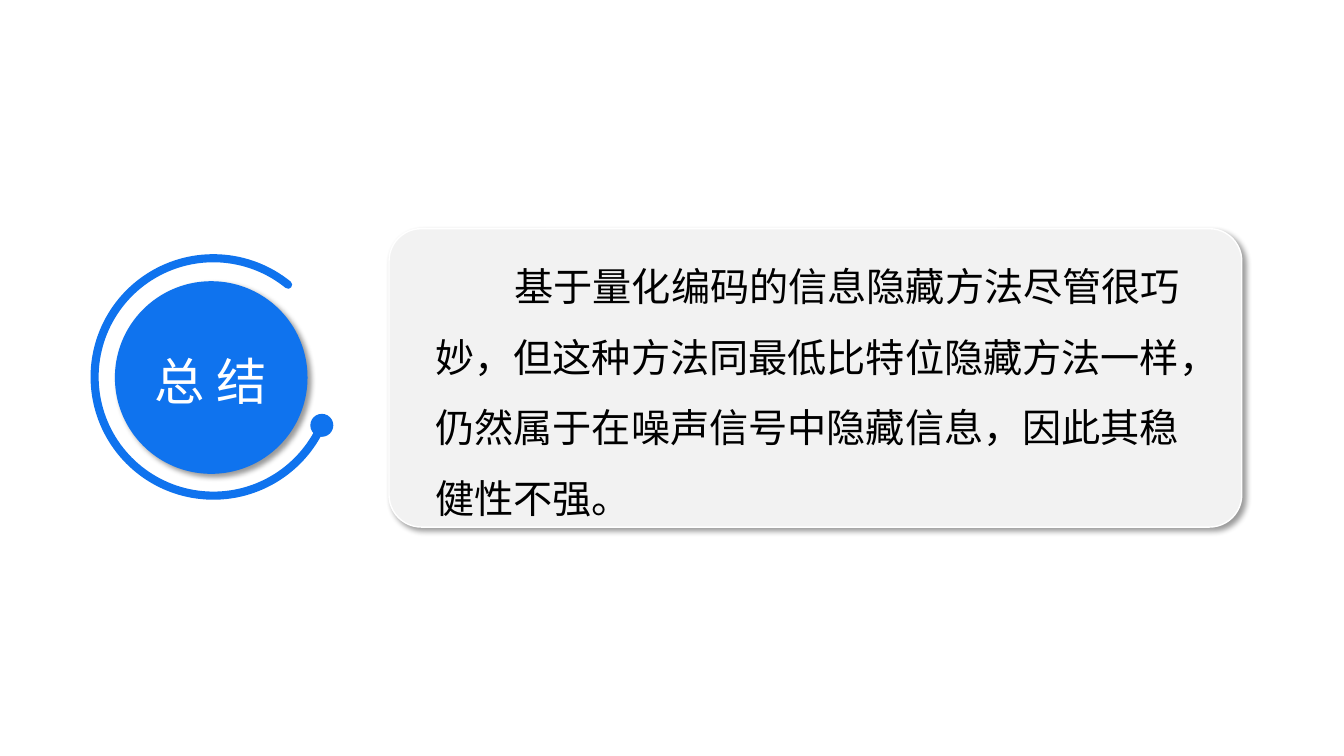
from dataclasses import dataclass
from math import cos, radians, sin, tan

from lxml import etree
from pptx import Presentation
from pptx.dml.color import RGBColor
from pptx.enum.shapes import MSO_SHAPE
from pptx.enum.text import MSO_ANCHOR, MSO_AUTO_SIZE, PP_ALIGN
from pptx.oxml.ns import qn
from pptx.util import Pt

OVAL, ROUNDED = MSO_SHAPE.OVAL, MSO_SHAPE.ROUNDED_RECTANGLE
TOP, MIDDLE = MSO_ANCHOR.TOP, MSO_ANCHOR.MIDDLE
NO_FIT, GROW = MSO_AUTO_SIZE.NONE, MSO_AUTO_SIZE.SHAPE_TO_FIT_TEXT
LEFT, CENTER = PP_ALIGN.LEFT, PP_ALIGN.CENTER


@dataclass(frozen=True)
class Theme:
    font: str = "Noto Sans CJK SC"
    accent: str = "0F73EE"
    panel: str = "F2F2F2"
    white: str = "FFFFFF"
    black: str = "000000"
    title_size: int = 36
    body_size: int = 28


def polar(center, radius, angle):
    """Return the point at a clockwise angle in degrees from the right."""
    turn = radians(angle)
    return center[0] + radius * cos(turn), center[1] + radius * sin(turn)


def arc_curves(center, radius, start, end, pieces=1):
    """Return two control points and an end point for each piece of an arc."""
    step = (end - start) / pieces
    reach = radius * 4 / 3 * tan(radians(step) / 4)
    points = []
    for piece in range(pieces):
        first = start + piece * step
        last = first + step
        stop = polar(center, radius, last)
        points += [polar(polar(center, radius, first), reach, first + 90),
                   polar(stop, -reach, last + 90), stop]
    return points


class SlideBuilder:
    def __init__(self, slide, theme):
        self.slide = slide
        self.theme = theme

    def paint(self, shape, fill, line=None, shadow=False):
        shape.shadow.inherit = False
        shape.fill.solid()
        shape.fill.fore_color.rgb = RGBColor.from_string(fill)
        if line:
            shape.line.color.rgb = RGBColor.from_string(line)
            shape.line.width = Pt(1)
        else:
            shape.line.fill.background()
        if shadow:
            self.add_shadow(shape)

    def add_shadow(self, shape):
        effects = shape.element.spPr.find(qn("a:effectLst"))
        outer = etree.SubElement(
            effects, qn("a:outerShdw"), blurRad=str(Pt(4)), dist=str(Pt(3)),
            dir=str(45 * 60000), algn="tl", rotWithShape="0")
        color = etree.SubElement(outer, qn("a:srgbClr"), val=self.theme.black)
        etree.SubElement(color, qn("a:alpha"), val="40000")

    def preset(self, kind, bounds, fill, line=None, shadow=False, corner=None):
        shape = self.slide.shapes.add_shape(kind, *map(Pt, bounds))
        if corner is not None:
            shape.adjustments[0] = corner
        self.paint(shape, fill, line, shadow)

    def disc(self, center, radius, fill, shadow=False):
        left, top = (value - radius for value in center)
        self.preset(OVAL, (left, top, 2 * radius, 2 * radius), fill, shadow=shadow)

    def curved_outline(self, start, curves, fill):
        """Draw a closed outline, taking the points of curves in threes."""
        (left, top), *points = [(Pt(x), Pt(y)) for x, y in (start, *curves)]
        builder = self.slide.shapes.build_freeform(left, top)
        builder.add_line_segments(points, close=True)
        shape = builder.convert_to_shape()
        lines = list(shape.element.iter(qn("a:lnTo")))
        for first in range(0, len(lines), 3):
            curve = etree.Element(qn("a:cubicBezTo"))
            lines[first].addprevious(curve)
            for line in lines[first:first + 3]:
                curve.append(line[0])
                line.getparent().remove(line)
        self.paint(shape, fill)

    def round_ended_arc(self, center, radius, thickness, start, end, fill):
        half = thickness / 2
        curves = arc_curves(center, radius + half, start, end, 4)
        curves += arc_curves(polar(center, radius, end), half, end, end + 180)
        curves += arc_curves(center, radius - half, end, start, 4)
        curves += arc_curves(polar(center, radius, start), half,
                             start + 180, start + 360)
        self.curved_outline(polar(center, radius + half, start), curves, fill)

    def placeholder(self, box, bounds, text, size, color, frame_format,
                    paragraph_format, indent=0):
        """Fill a placeholder, place it and bring it to the front."""
        box.left, box.top, box.width, box.height = map(Pt, bounds)
        box.element.getparent().append(box.element)
        frame = box.text_frame
        for name, value in frame_format.items():
            setattr(frame, name, value)
        para = frame.paragraphs[0]
        for name, value in paragraph_format.items():
            setattr(para, name, value)
        properties = para._p.get_or_add_pPr()
        properties.set("marL", "0")
        properties.set("indent", str(Pt(indent)))
        etree.SubElement(properties, qn("a:buNone"))
        span = para.add_run()
        span.text = text
        span.font.size = Pt(size)
        span.font.color.rgb = RGBColor.from_string(color)
        span.font.name = self.theme.font
        etree.SubElement(span._r.get_or_add_rPr(), qn("a:ea"),
                         typeface=self.theme.font)


def main():
    theme = Theme()
    deck = Presentation()
    deck.slide_width, deck.slide_height = Pt(960), Pt(540)
    slide = deck.slides.add_slide(deck.slide_layouts[1])
    page = SlideBuilder(slide, theme)

    page.disc((150.9, 269.7), 68.8, theme.accent, shadow=True)
    page.placeholder(
        slide.shapes.title, (91.8, 254.9, 117.4, 38.9), "总 结",
        theme.title_size, theme.white,
        {"word_wrap": True, "auto_size": NO_FIT, "vertical_anchor": MIDDLE},
        {"alignment": CENTER, "line_spacing": 0.9, "space_before": Pt(0)})

    ring_center, ring_radius = (152.4, 269.3), 84.8
    ring_start, ring_end = 24, 309
    page.round_ended_arc(ring_center, ring_radius, 5.8, ring_start, ring_end,
                         theme.accent)
    page.disc(polar(ring_center, ring_radius, ring_start), 8.2, theme.accent)

    page.preset(ROUNDED, (277.9, 163.4, 609.1, 213.1), theme.panel,
                line=theme.white, shadow=True, corner=0.108)
    page.placeholder(
        slide.placeholders[1], (303.8, 167, 557.3, 205.9),
        "基于量化编码的信息隐藏方法尽管很巧妙，但这种方法同最低比特位隐藏方法一样，"
        "仍然属于在噪声信号中隐藏信息，因此其稳健性不强。",
        theme.body_size, theme.black,
        {"word_wrap": True, "auto_size": GROW, "vertical_anchor": TOP},
        {"alignment": LEFT, "line_spacing": 1.5, "space_before": Pt(0)},
        indent=56.5)

    deck.save("out.pptx")


if __name__ == "__main__":
    main()
